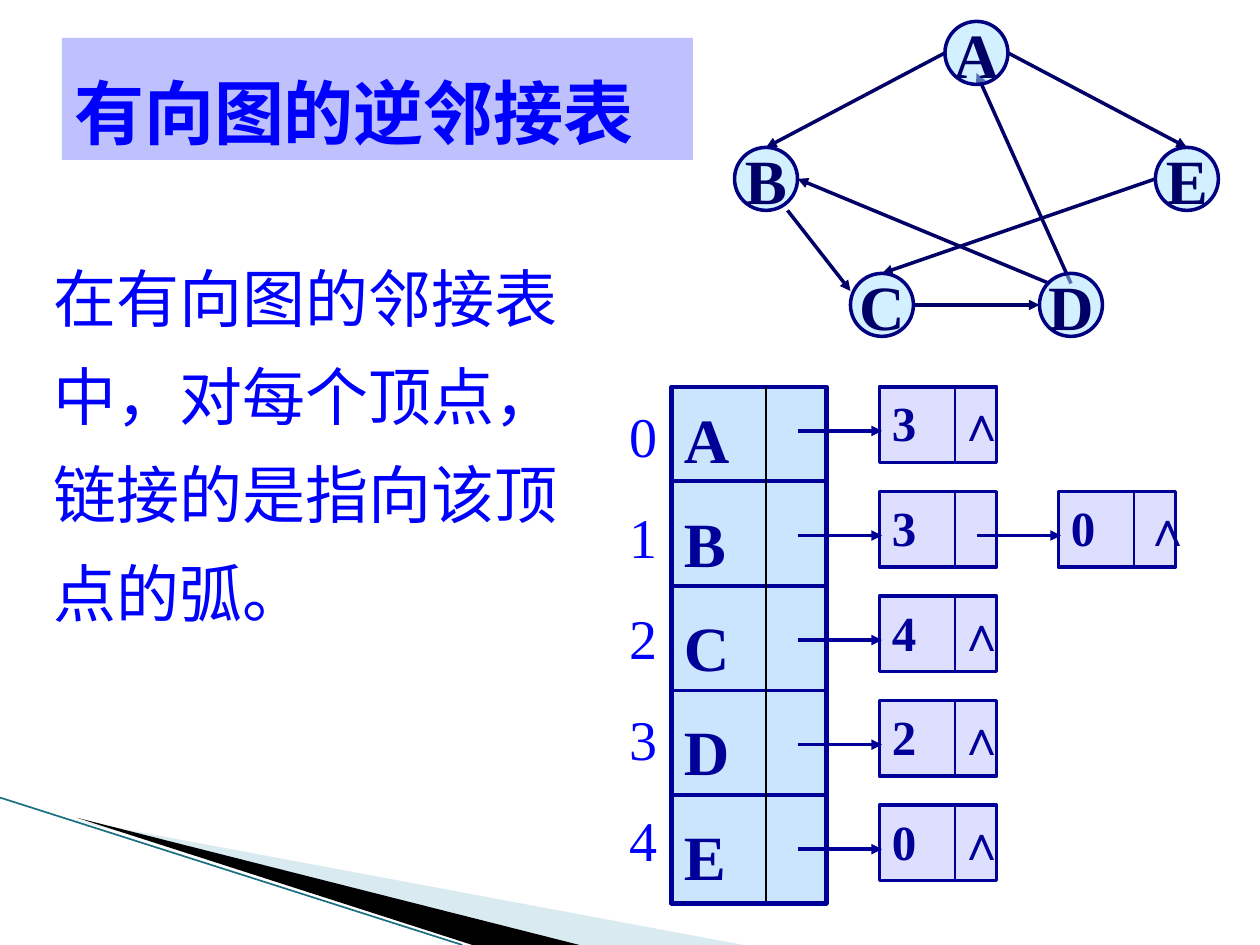
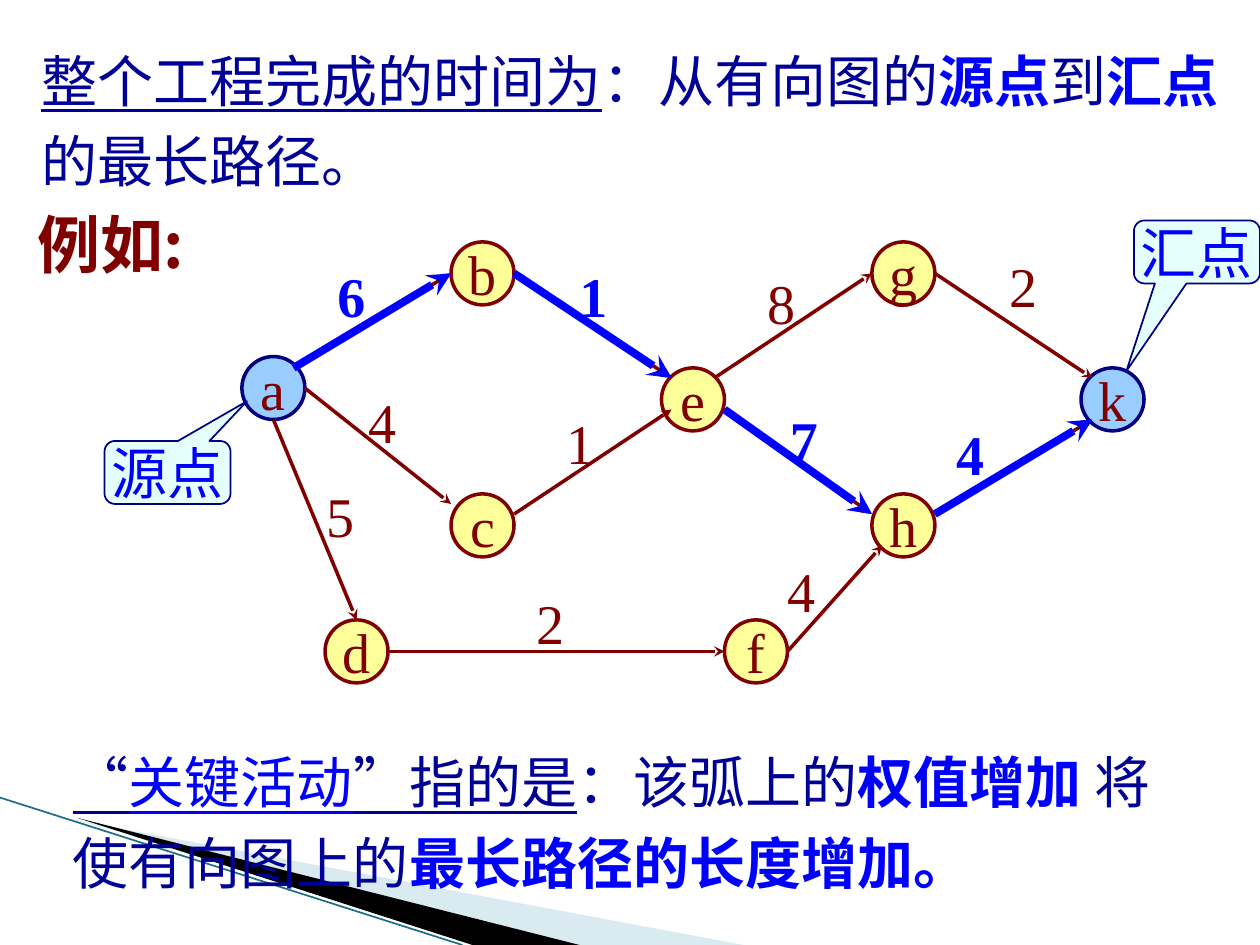
import pptx
import pptx.dml.color
import pptx.enum.shapes
import pptx.enum.text
import pptx.oxml.ns
import pptx.util
from lxml import etree

Inches = pptx.util.Inches
Pt = pptx.util.Pt
RGB = pptx.dml.color.RGBColor
SHAPE = pptx.enum.shapes.MSO_SHAPE
ALIGN = pptx.enum.text.PP_ALIGN
ANCHOR = pptx.enum.text.MSO_ANCHOR
qn = pptx.oxml.ns.qn

BLACK = RGB(0x00, 0x00, 0x00)
BLUE = RGB(0x00, 0x00, 0xFF)
NAVY = RGB(0x00, 0x00, 0x99)
DARK_NAVY = RGB(0x00, 0x00, 0x66)
OUTLINE = RGB(0x00, 0x00, 0x80)
MAROON = RGB(0x80, 0x00, 0x00)
LAVENDER = RGB(0xBE, 0xC1, 0xFE)
SKY = RGB(0x99, 0xCC, 0xFF)
ICE = RGB(0xA7, 0xE2, 0xFF)
PALE_CYAN = RGB(0xCC, 0xFF, 0xFF)
YELLOW = RGB(0xFF, 0xFF, 0x99)
BAND = RGB(0xA0, 0xCB, 0xDC)
BAND_EDGE = RGB(0x1A, 0x6F, 0x82)

SERIF = "Times New Roman"
CJK = "Noto Sans CJK SC"
NODE = 0.5


def put_text(shape, paragraphs, size=32, color=NAVY, bold=False, font=SERIF, align=ALIGN.LEFT,
             anchor=ANCHOR.TOP, wrap=True, spacing=None, gap=0, inset=0.05):
    """Fill a shape; each paragraph is a string or a list of (text, format changes)."""
    frame = shape.text_frame
    frame.word_wrap = wrap
    frame.vertical_anchor = anchor
    frame.margin_top = Inches(inset)
    for index, content in enumerate(paragraphs):
        paragraph = frame.add_paragraph() if index else frame.paragraphs[0]
        paragraph.alignment = align
        if spacing:
            paragraph.line_spacing = spacing
        if index and gap:
            paragraph.space_before = Pt(gap)
        pieces = [(content, {})] if isinstance(content, str) else content
        for text, changes in pieces:
            run = paragraph.add_run()
            run.text = text
            run.font.size = Pt(size)
            run.font.name = font
            run.font.bold = changes.get("bold", bold)
            run.font.underline = changes.get("underline", False)
            run.font.color.rgb = changes.get("color", color)
            etree.SubElement(run.font._element, qn("a:ea")).set("typeface", CJK)


def add_label(slide, left, top, width, height, paragraphs, **text_format):
    box = slide.shapes.add_textbox(Inches(left), Inches(top), Inches(width), Inches(height))
    put_text(box, paragraphs, **text_format)


def style_shape(shape, fill, line=None, weight=2, alpha=None):
    shape.shadow.inherit = False
    shape.fill.solid()
    shape.fill.fore_color.rgb = fill
    if alpha:
        rgb = shape._element.spPr.find(qn("a:solidFill"))[0]
        etree.SubElement(rgb, qn("a:alpha")).set("val", str(alpha * 1000))
    if line is None:
        shape.line.fill.background()
    else:
        shape.line.color.rgb = line
        shape.line.width = Pt(weight)


def add_box(slide, kind, left, top, width, height, fill, line=None, weight=2, alpha=None):
    shape = slide.shapes.add_shape(kind, Inches(left), Inches(top), Inches(width), Inches(height))
    style_shape(shape, fill, line, weight, alpha)
    return shape


def add_line(slide, start, end, color, weight, arrow=None):
    points = [Inches(value) for value in (*start, *end)]
    line = slide.shapes.add_connector(pptx.enum.shapes.MSO_CONNECTOR.STRAIGHT, *points)
    line.line.color.rgb = color
    line.line.width = Pt(weight)
    if arrow:
        etree.SubElement(line.line._get_or_add_ln(), qn("a:tailEnd")).set("type", arrow)
    etree.SubElement(line._element.spPr, qn("a:effectLst"))


def add_node(slide, left, top, name, fill, line, alpha=None, **text_format):
    node = add_box(slide, SHAPE.OVAL, left, top, NODE, NODE, fill, line, alpha=alpha)
    put_text(node, [name], align=ALIGN.CENTER, anchor=ANCHOR.MIDDLE, wrap=False, **text_format)


def add_corner_band(slide):
    wedges = [
        ([(0.55, 6.5), (5.9, 7.5), (4.56, 7.5)], BAND, 40),
        ([(0.61, 6.49), (4.6, 7.5), (3.75, 7.5)], BLACK, None),
    ]
    for points, fill, alpha in wedges:
        corners = [(Inches(x), Inches(y)) for x, y in points]
        builder = slide.shapes.build_freeform(*corners[0])
        builder.add_line_segments(corners[1:], close=True)
        style_shape(builder.convert_to_shape(), fill, alpha=alpha)
    add_line(slide, (0, 6.33), (3.67, 7.5), BAND_EDGE, 0.95)


def add_directed_graph(slide, left, top):
    arcs = [
        ((1.67, 0.25), (0.25, 1)), ((0.42, 1.5), (0.92, 2.14)), ((1.42, 2.25), (2.42, 2.25)),
        ((2.67, 2.08), (1.92, 0.41)), ((2.17, 0.25), (3.59, 1)), ((2.5, 2.08), (0.5, 1.25)),
        ((3.34, 1.25), (1.17, 2)),
    ]
    nodes = {"A": (1.67, 0), "B": (0, 1), "E": (3.34, 1), "C": (0.92, 2), "D": (2.42, 2)}
    for (x1, y1), (x2, y2) in arcs:
        add_line(slide, (left + x1, top + y1), (left + x2, top + y2), DARK_NAVY, 2, "triangle")
    for name, (x, y) in nodes.items():
        add_node(slide, left + x, top + y, name, ICE, OUTLINE, alpha=50,
                 size=36, color=DARK_NAVY, bold=True)


def add_arc_cell(slide, left, top, vertex, depth, is_last):
    """One linked-list cell; its incoming arrow starts in the cell before it."""
    cell = add_box(slide, SHAPE.RECTANGLE, left, top, 0.93, 0.6, LAVENDER, NAVY, alpha=50)
    put_text(cell, [vertex], size=28, bold=True)
    add_line(slide, (left + 0.6, top + 0.01), (left + 0.6, top + 0.6), NAVY, 1)
    add_line(slide, (left - 0.65, top + 0.35), (left + 0.02, top + 0.35), NAVY, 2, "triangle")
    if is_last:
        add_label(slide, left + 0.52 + 0.06 * depth, top, 0.44, 0.57, ["∧"],
                  size=28, bold=True, wrap=False)


def add_inverse_adjacency_list(slide, left, top):
    row_pitch, cell_pitch = 0.83, 1.42
    arc_tails = {"A": "3", "B": "30", "C": "4", "D": "2", "E": "0"}
    heads = add_box(slide, SHAPE.RECTANGLE, left, top, 1.23, 4.1, SKY, NAVY, 2.5, alpha=50)
    put_text(heads, list(arc_tails), size=36, bold=True, gap=16.3, inset=0.11)
    for row in range(len(arc_tails) - 1):
        y = top + 0.75 + row * row_pitch
        add_line(slide, (left, y), (left + 1.25, y), NAVY, 2.25)
    add_line(slide, (left + 0.75, top), (left + 0.75, top + 4.08), BLACK, 1)
    for row, tails in enumerate(arc_tails.values()):
        for depth, vertex in enumerate(tails):
            add_arc_cell(slide, left + 1.65 + depth * cell_pitch, top + row * row_pitch,
                         vertex, depth, depth == len(tails) - 1)
    add_label(slide, left - 0.43, top + 0.02, 0.42, 3.94, [str(i) for i in range(len(arc_tails))],
              color=BLUE, wrap=False, gap=19.3, inset=0.1)


def build_inverse_list_slide(slide):
    add_corner_band(slide)
    add_directed_graph(slide, 5.83, 0.17)
    title = add_box(slide, SHAPE.RECTANGLE, 0.49, 0.3, 5.01, 0.97, LAVENDER)
    put_text(title, ["有向图的逆邻接表"], size=40, color=BLUE, bold=True, spacing=1.3)
    add_inverse_adjacency_list(slide, 5.33, 3.07)
    add_label(slide, 0.33, 1.83, 4.42, 3.23,
              ["在有向图的邻接表中，对每个顶点，链接的是指向该顶点的弧。"],
              size=36, color=BLUE, spacing=1.3)


def add_activity_network(slide, left, top):
    nodes = {
        "a": (0, 0.91), "b": (1.66, 0), "c": (1.66, 2), "d": (0.66, 3), "e": (3.33, 1),
        "f": (3.83, 3), "g": (5, 0), "h": (5, 2), "k": (6.66, 1),
    }
    # start, end, weight, place of the weight, on the critical path
    activities = [
        ((0.41, 1), (1.66, 0.25), "6", (0.66, 0.11), True),
        ((0.5, 1.16), (1.66, 2.08), "4", (0.91, 1.11), False),
        ((2.16, 2.16), (3.41, 1.33), "1", (2.48, 1.27), False),
        ((2.16, 0.25), (3.41, 1.08), "1", (2.58, 0.11), True),
        ((3.75, 1.08), (5, 0.25), "8", (4.07, 0.16), False),
        ((5.5, 0.25), (6.75, 1.08), "2", (5.99, 0.03), False),
        ((5.5, 2.16), (6.75, 1.41), "4", (5.57, 1.36), True),
        ((3.83, 1.33), (5, 2.16), "7", (4.25, 1.25), True),
        ((0.25, 1.41), (0.91, 3), "5", (0.57, 1.85), False),
        ((1.16, 3.25), (3.83, 3.25), "2", (2.24, 2.7), False),
        ((4.33, 3.25), (5.08, 2.41), "4", (4.23, 2.45), False),
    ]
    for name, (x, y) in nodes.items():
        fill, line = (SKY, OUTLINE) if name in "ak" else (YELLOW, MAROON)
        add_node(slide, left + x, top + y, name, fill, line, color=MAROON)
    for (x1, y1), (x2, y2), weight, (x, y), critical in activities:
        start, end = (left + x1, top + y1), (left + x2, top + y2)
        add_line(slide, start, end, MAROON, 2, "stealth")
        if critical:
            add_line(slide, start, end, BLUE, 4.5, "stealth")
        add_label(slide, left + x, top + y, 0.42, 0.63, [weight],
                  color=BLUE if critical else MAROON, bold=critical, wrap=False)


def add_callout(slide, left, top, text, pointer):
    callout = add_box(slide, SHAPE.ROUNDED_RECTANGULAR_CALLOUT, left, top, 1, 0.5,
                      PALE_CYAN, OUTLINE, 1, alpha=50)
    callout.adjustments[0], callout.adjustments[1] = pointer
    put_text(callout, [text], color=BLUE, align=ALIGN.CENTER, anchor=ANCHOR.MIDDLE, wrap=False)


def build_critical_path_slide(slide):
    underlined = {"underline": True}
    key = {"color": BLUE, "bold": True}
    add_corner_band(slide)
    add_activity_network(slide, 1.92, 1.92)
    add_label(slide, 0.2, 1.58, 1.46, 0.7, ["例如:"],
              size=36, color=MAROON, bold=True, font=CJK, wrap=False)
    add_label(slide, 0.48, 5.78, 9.18, 1.38, [[
        ("“", underlined), ("关键活动", {"underline": True, "color": BLUE}),
        ("”指的是", underlined), ("：该弧上的", {}), ("权值增加 ", key),
        ("将使有向图上的", {}), ("最长路径的长度增加。", key),
    ]], spacing=1.2)
    add_label(slide, 0.23, 0.21, 9.6, 1.38, [[
        ("整个工程完成的时间为", underlined), ("：从有向图的", {}), ("源点", key),
        ("到", {}), ("汇点", key), ("的最长路径。", {}),
    ]], spacing=1.2)
    add_callout(slide, 0.83, 3.5, "源点", (0.63, -1.13))
    add_callout(slide, 9, 1.75, "汇点", (-0.56, 1.89))


def main():
    deck = pptx.Presentation()
    deck.slide_width, deck.slide_height = Inches(10), Inches(7.5)
    for build in (build_inverse_list_slide, build_critical_path_slide):
        build(deck.slides.add_slide(deck.slide_layouts[6]))
    deck.save("out.pptx")


if __name__ == "__main__":
    main()
